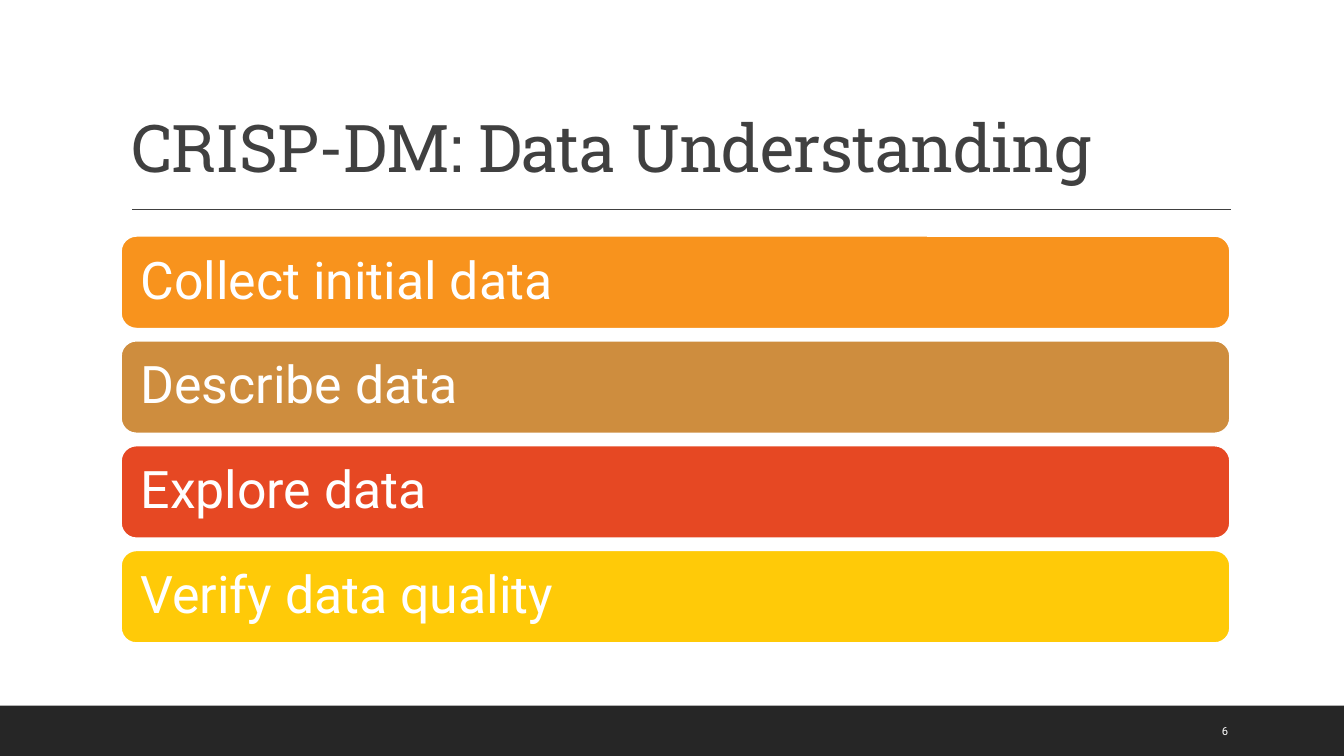
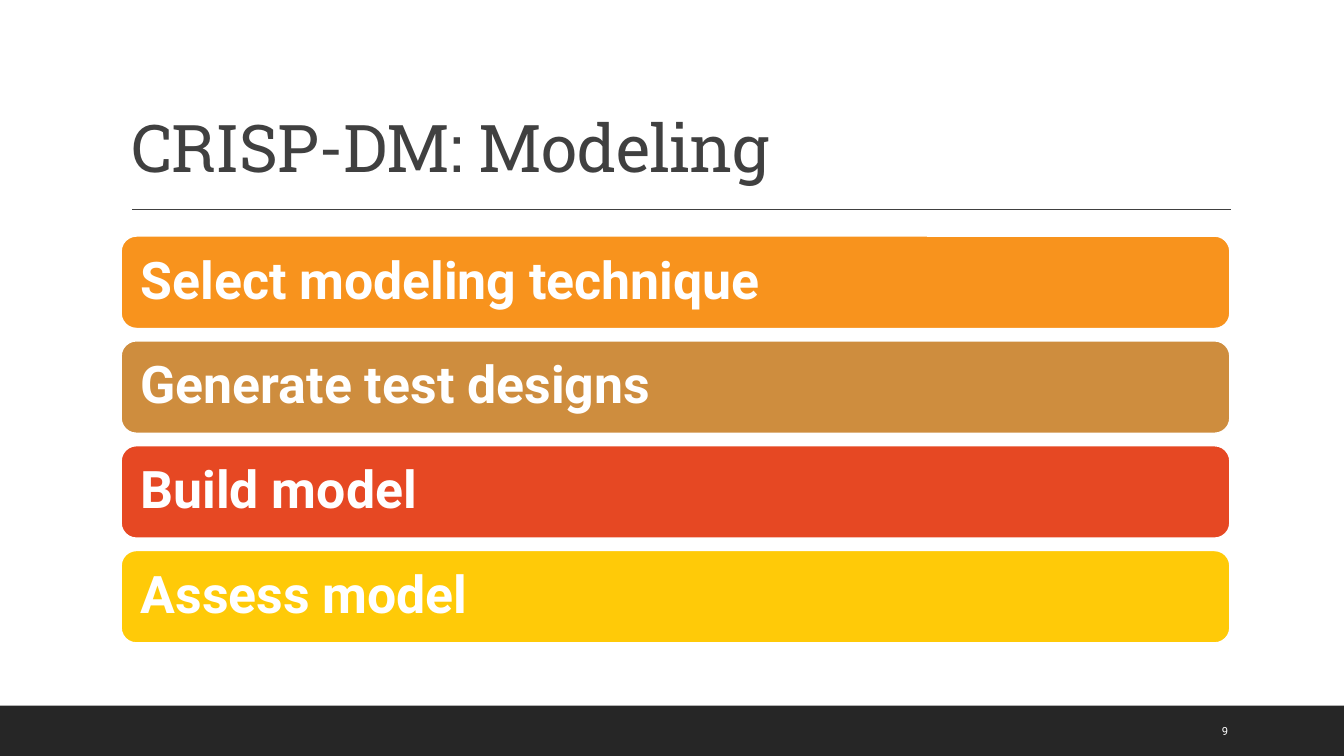
from lxml.etree import SubElement
from pptx import Presentation
from pptx.dml.color import RGBColor
from pptx.enum.shapes import MSO_CONNECTOR as CONNECTOR, MSO_SHAPE as SHAPE
from pptx.enum.text import MSO_ANCHOR as ANCHOR, MSO_AUTO_SIZE as AUTO_SIZE, PP_ALIGN as ALIGN
from pptx.oxml.ns import qn
from pptx.util import Inches, Pt

WIDTH, HEIGHT = 13.33, 7.5
LEFT, CONTENT_WIDTH = 1.2, 11
BAND_TOP = 7
ROW_TOP, ROW_PITCH, ROW_HEIGHT = 2.34, 1.04, 0.92
WHITE, GREY, DARK = "FFFFFF", "404040", "262626"
ROW_COLORS = ("F8931D", "CE8D3E", "E64823", "FFCA08")
HEAD_FONT, BODY_FONT = "Roboto Slab", "Roboto"

SLIDES = (
    ("CRISP-DM: Data Understanding", "6", False,
     ("Collect initial data", "Describe data", "Explore data", "Verify data quality")),
    ("CRISP-DM: Modeling", "9", True,
     ("Select modeling technique", "Generate test designs", "Build model", "Assess model")),
)


def rgb(color):
    """Turn a hex string into a colour."""
    return RGBColor.from_string(color)


def box(*lengths):
    """Turn lengths in inches into slide units."""
    return [Inches(n) for n in lengths]


def write(tf, text, size, color, font=BODY_FONT, bold=False, anchor=ANCHOR.MIDDLE, spacing=1.0):
    """Fill a text frame with one left-aligned paragraph."""
    tf.word_wrap = True
    tf.auto_size = AUTO_SIZE.NONE
    tf.vertical_anchor = anchor
    tf.text = text
    p = tf.paragraphs[0]
    p.alignment = ALIGN.LEFT
    p.line_spacing = spacing
    p.font.size, p.font.name, p.font.bold = Pt(size), font, bold
    p.font.color.rgb = rgb(color)
    return p


def add_block(s, shape, bounds, fill, line=None):
    """Add a filled preset shape with an optional outline."""
    sp = s.shapes.add_shape(shape, *box(*bounds))
    sp.shadow.inherit = False
    sp.fill.solid()
    sp.fill.fore_color.rgb = rgb(fill)
    if line:
        sp.line.color.rgb = rgb(line)
        sp.line.width = Pt(1.25)
    else:
        sp.line.fill.background()
    return sp


def add_rule(s, left, right, top):
    """Add the thin line under the title."""
    rule = s.shapes.add_connector(CONNECTOR.STRAIGHT, *box(left, top, right, top))
    rule.line.color.rgb = rgb(GREY)
    rule.line.width = Pt(1)
    SubElement(rule._element.spPr, qn("a:effectLst"))


def set_title(s, text):
    """Place and style the title placeholder."""
    title = s.shapes.title
    title.left, title.top, title.width, title.height = box(LEFT, 0.31, CONTENT_WIDTH, 1.59)
    p = write(title.text_frame, text, 47, GREY, HEAD_FONT, anchor=ANCHOR.BOTTOM, spacing=0.9)
    p.runs[0].font._element.set("spc", "-50")


def add_footer(s, number):
    """Add the dark band and the page number."""
    add_block(s, SHAPE.RECTANGLE, (0, BAND_TOP, WIDTH, HEIGHT - BAND_TOP), DARK)
    sp = s.shapes.add_textbox(*box(12.02, BAND_TOP + 0.05, 0.85, 0.4))
    write(sp.text_frame, number, 8, WHITE)


def add_steps(s, steps, bold):
    """Stack one coloured bar per step."""
    for i, (step, color) in enumerate(zip(steps, ROW_COLORS)):
        bounds = (LEFT, ROW_TOP + i * ROW_PITCH, CONTENT_WIDTH, ROW_HEIGHT)
        bar = add_block(s, SHAPE.ROUNDED_RECTANGLE, bounds, color, WHITE)
        tf = bar.text_frame
        tf.margin_left = tf.margin_right = Inches(0.15)
        write(tf, step, 37, WHITE, bold=bold, spacing=0.9)


def main():
    """Build and save the presentation."""
    prs = Presentation()
    prs.slide_width, prs.slide_height = box(WIDTH, HEIGHT)
    for title, number, bold, steps in SLIDES:
        s = prs.slides.add_slide(prs.slide_layouts.get_by_name("Title Only"))
        set_title(s, title)
        add_rule(s, 1.31, 12.21, 2.08)
        add_steps(s, steps, bold)
        add_footer(s, number)
    prs.save("out.pptx")


if __name__ == "__main__":
    main()
